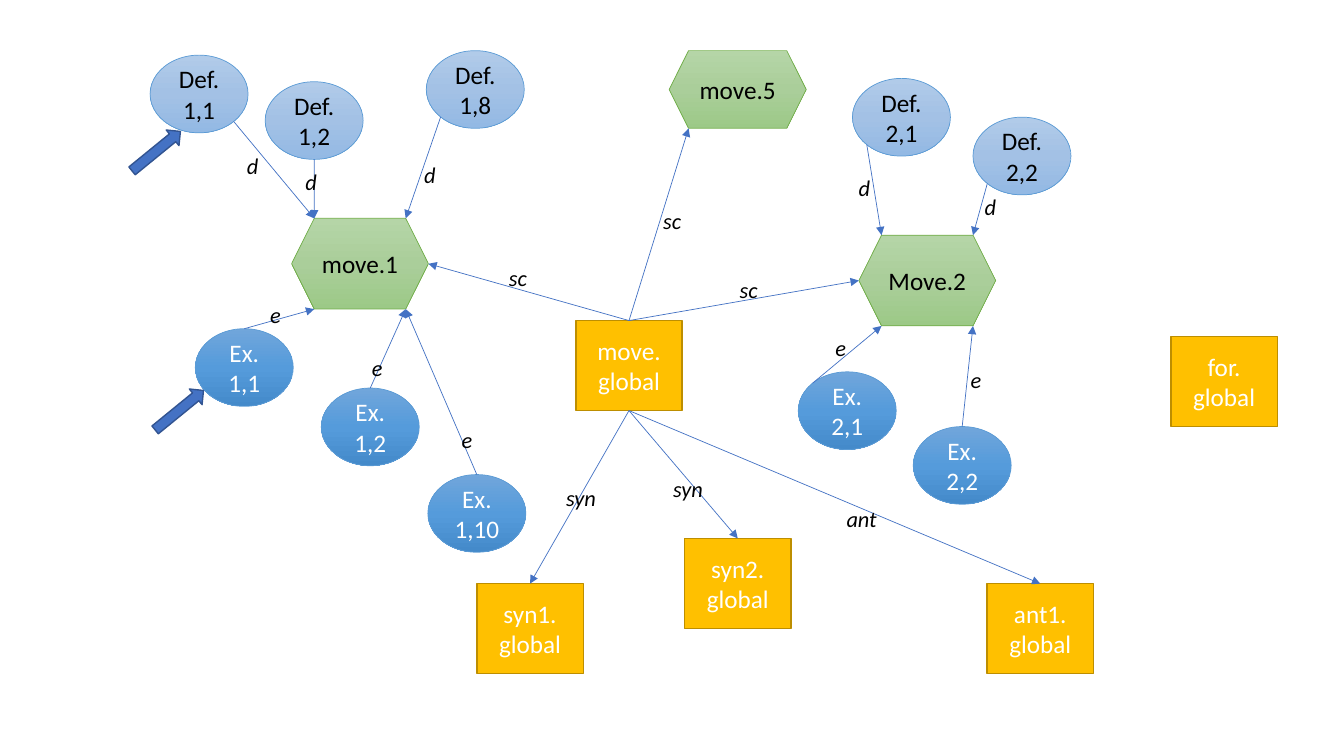
"""Build the slide showing a word-sense graph around move.global."""
from copy import deepcopy

from pptx import Presentation
from pptx.dml.color import RGBColor
from pptx.enum.shapes import MSO_CONNECTOR, MSO_SHAPE
from pptx.enum.text import MSO_ANCHOR, PP_ALIGN
from pptx.oxml.ns import qn
from pptx.util import Pt
from lxml.etree import SubElement

COLORS = {
    "black": "000000", "white": "FFFFFF", "edge": "4472C4", "arrow_line": "325491",
    "green_line": "70AD47", "blue_line": "5B9BD5", "gold": "FFC000", "gold_line": "BD8E00",
    "green_1": "B5D5A7", "green_2": "AACE9A", "green_3": "9CC987",
    "pale_1": "B1CBE9", "pale_2": "A3C1E5", "pale_3": "93B9E4",
    "blue_1": "71A6DB", "blue_2": "559BDB", "blue_3": "448ACA",
}
FONT = "Calibri"

# kind: preset, width, height, fills, line colour, line width, text colour
KINDS = {
    "sense": (MSO_SHAPE.HEXAGON, 97.7, 64.8, ("green_1", "green_2", "green_3"), "green_line", 0.5, "black"),
    "small sense": (MSO_SHAPE.HEXAGON, 97.9, 55.5, ("green_1", "green_2", "green_3"), "green_line", 0.5, "black"),
    "definition": (MSO_SHAPE.OVAL, 70, 55.5, ("pale_1", "pale_2", "pale_3"), "blue_line", 0.5, "black"),
    "example": (MSO_SHAPE.OVAL, 70, 55.5, ("blue_1", "blue_2", "blue_3"), "blue_line", 0.5, "white"),
    "global": (MSO_SHAPE.RECTANGLE, 76, 64.3, ("gold",), "gold_line", 1, "white"),
}

# text: kind, left, top
NODES = {
    "move.1": ("sense", 208.3, 156),
    "Move.2": ("sense", 613.5, 168),
    "move.5": ("small sense", 478, 36.2),
    "Def. 1,1": ("definition", 107.2, 39.4),
    "Def. 1,2": ("definition", 189.4, 58.4),
    "Def. 1,8": ("definition", 304.5, 36.2),
    "Def. 2,1": ("definition", 608.9, 56),
    "Def. 2,2": ("definition", 695, 83.7),
    "Ex. 1,1": ("example", 139.5, 234.8),
    "Ex. 1,2": ("example", 229.5, 277.2),
    "Ex. 1,10": ("example", 305.6, 339),
    "Ex. 2,1": ("example", 570.2, 265.6),
    "Ex. 2,2": ("example", 652.3, 304.7),
    "move.\vglobal": ("global", 411.3, 229),
    "syn1.\vglobal": ("global", 340.6, 416.9),
    "syn2.\vglobal": ("global", 489, 384.6),
    "ant1.\vglobal": ("global", 705.1, 416.9),
    "for.\vglobal": ("global", 836.4, 240.4),
}

# from, site, to, site, label, label left, top, width
EDGES = [
    ("Def. 1,1", "bottom right", "move.1", "top left", "d", 169.2, 105.1, 30),
    ("Def. 1,2", "bottom", "move.1", "top left", "d", 211, 116.6, 24),
    ("Def. 1,8", "bottom left", "move.1", "top right", "d", 295.9, 111.6, 24),
    ("Def. 2,1", "bottom left", "Move.2", "top left", "d", 606.2, 121, 24),
    ("Def. 2,2", "bottom left", "Move.2", "top right", "d", 696.2, 134.6, 24),
    ("Ex. 1,1", "top", "move.1", "bottom left", "e", 185.8, 211.7, 24),
    ("Ex. 1,2", "top", "move.1", "bottom right", "e", 258.5, 249.1, 24),
    ("Ex. 1,10", "top", "move.1", "bottom right", "e", 322.6, 301, 24),
    ("Ex. 2,1", "top left", "Move.2", "bottom left", "e", 589.7, 235.4, 24),
    ("Ex. 2,2", "top", "Move.2", "bottom right", "e", 686.2, 257.8, 24),
    ("move.\vglobal", "top", "move.1", "right", "sc", 356.4, 185, 39),
    ("move.\vglobal", "top", "Move.2", "left", "sc", 521.3, 193.7, 39),
    ("move.\vglobal", "top", "move.5", "bottom left", "sc", 466.6, 144.7, 39),
    ("move.\vglobal", "bottom", "syn1.\vglobal", "top", "syn", 397.4, 342, 39),
    ("move.\vglobal", "bottom", "syn2.\vglobal", "top", "syn", 473.8, 335.5, 39),
    ("move.\vglobal", "bottom", "ant1.\vglobal", "top", "ant", 597.6, 357.1, 39),
]
POINTERS = [(105.8, 285.8), (89.3, 100.8)]


def rgb(name):
    return RGBColor.from_string(COLORS[name])


def paint(sp, fills, line, width):
    sp.shadow.inherit = False
    if len(fills) == 1:
        sp.fill.solid()
        sp.fill.fore_color.rgb = rgb(fills[0])
    else:
        sp.fill.gradient()
        sp.fill.gradient_angle = 270
        stops = next(sp._element.spPr.iter(qn("a:gsLst")))
        stops.insert(1, deepcopy(stops[0]))
        for i, stop in enumerate(sp.fill.gradient_stops):
            stop.position = i / 2
            stop.color.rgb = rgb(fills[i])
    sp.line.color.rgb = rgb(line)
    sp.line.width = Pt(width)


def write(sp, text, size, color, align, italic=None):
    tf = sp.text_frame
    tf.word_wrap = True
    p = tf.paragraphs[0]
    p.alignment = align
    for i, part in enumerate(text.split("\v")):
        if i:
            p.add_line_break()
        r = p.add_run()
        r.text = part
        r.font.name, r.font.size, r.font.italic = FONT, Pt(size), italic
        r.font.color.rgb = rgb(color)


def site(node, where):
    kind, x, y = NODES[node]
    preset, w, h = KINDS[kind][:3]
    hexagon = preset == MSO_SHAPE.HEXAGON
    dx = h / 4 if hexagon else 0.1464 * w
    dy = 0 if hexagon or " " not in where else 0.1464 * h
    px, py = x + w / 2, y + h / 2
    if "left" in where:
        px = x + (dx if " " in where else 0)
    if "right" in where:
        px = x + w - (dx if " " in where else 0)
    if "top" in where:
        py = y + dy
    if "bottom" in where:
        py = y + h - dy
    return Pt(px), Pt(py)


def add_node(s, text, kind, x, y):
    preset, w, h, fills, line, width, color = KINDS[kind]
    sp = s.shapes.add_shape(preset, Pt(x), Pt(y), Pt(w), Pt(h))
    paint(sp, fills, line, width)
    sp.text_frame.vertical_anchor = MSO_ANCHOR.MIDDLE
    write(sp, text, 18, color, PP_ALIGN.CENTER)


def add_edge(s, start, end):
    c = s.shapes.add_connector(MSO_CONNECTOR.STRAIGHT, *start, *end)
    c.line.color.rgb = rgb("edge")
    c.line.width = Pt(0.5)
    SubElement(c.line._get_or_add_ln(), qn("a:tailEnd"), type="triangle")
    SubElement(c._element.spPr, qn("a:effectLst"))


def main():
    prs = Presentation()
    prs.slide_width, prs.slide_height = Pt(960), Pt(540)
    s = prs.slides.add_slide(prs.slide_layouts[6])
    for text, node in NODES.items():
        add_node(s, text, *node)
    for source, out, target, into, *_ in EDGES:
        add_edge(s, site(source, out), site(target, into))
    for x, y in POINTERS:
        sp = s.shapes.add_shape(MSO_SHAPE.RIGHT_ARROW, Pt(x), Pt(y), Pt(44.6), Pt(14.4))
        sp.rotation = 320.8
        paint(sp, ("edge",), "arrow_line", 1)
    for *_, label, x, y, w in EDGES:
        sp = s.shapes.add_textbox(Pt(x), Pt(y), Pt(w), Pt(26.6))
        write(sp, label, 16, "black", PP_ALIGN.LEFT, True)
    prs.save("out.pptx")


if __name__ == "__main__":
    main()
